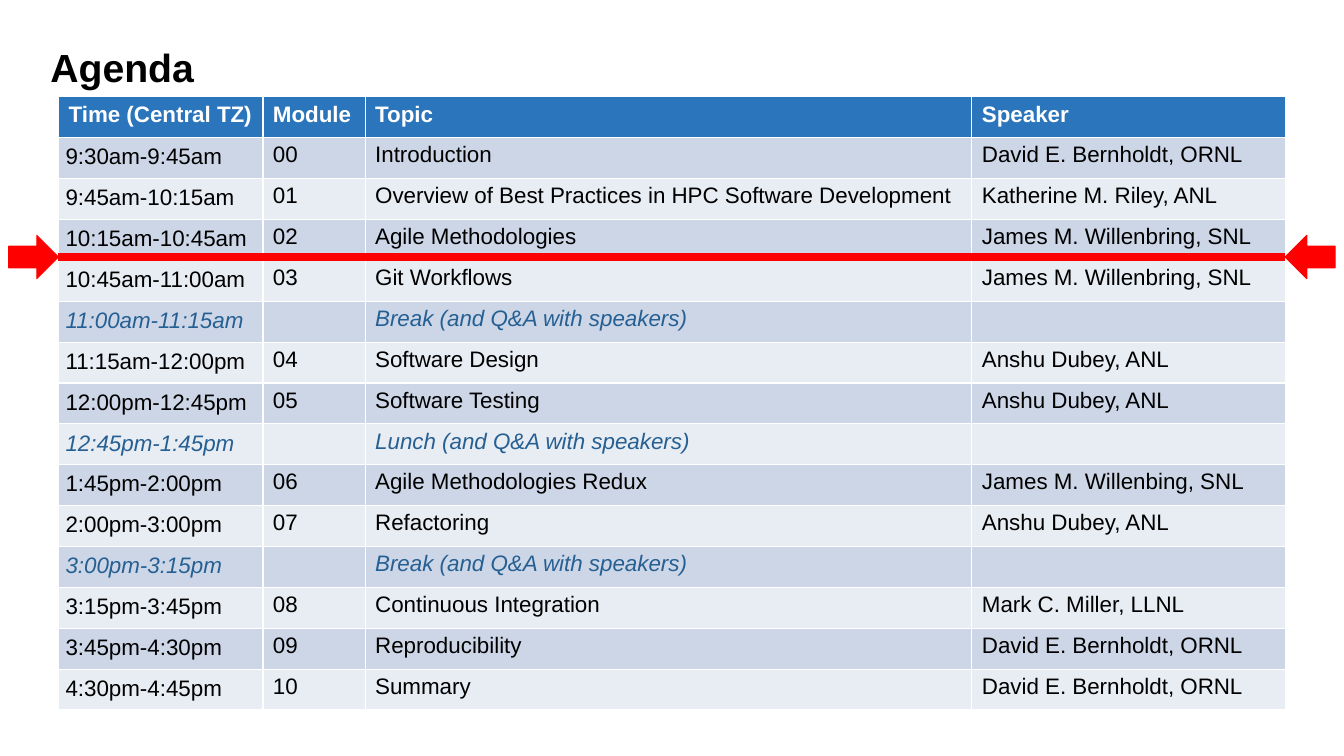
"""Build the agenda slide with its schedule table and current-time marker."""
from pptx import Presentation
from pptx.dml.color import RGBColor
from pptx.enum.shapes import MSO_CONNECTOR as Connector, MSO_SHAPE as Shape
from pptx.enum.text import MSO_ANCHOR as Anchor, MSO_AUTO_SIZE as AutoSize, PP_ALIGN as Align
from pptx.oxml.ns import qn
from pptx.util import Pt

HEADINGS = ("Time (Central TZ)", "Module", "Topic", "Speaker")
SESSIONS = [
    ("9:30am-9:45am", "00", "Introduction", "David E. Bernholdt, ORNL"),
    ("9:45am-10:15am", "01", "Overview of Best Practices in HPC Software Development",
     "Katherine M. Riley, ANL"),
    ("10:15am-10:45am", "02", "Agile Methodologies", "James M. Willenbring, SNL"),
    ("10:45am-11:00am", "03", "Git Workflows", "James M. Willenbring, SNL"),
    ("11:00am-11:15am", "", "Break (and Q&A with speakers)", ""),
    ("11:15am-12:00pm", "04", "Software Design", "Anshu Dubey, ANL"),
    ("12:00pm-12:45pm", "05", "Software Testing", "Anshu Dubey, ANL"),
    ("12:45pm-1:45pm", "", "Lunch (and Q&A with speakers)", ""),
    ("1:45pm-2:00pm", "06", "Agile Methodologies Redux", "James M. Willenbing, SNL"),
    ("2:00pm-3:00pm", "07", "Refactoring", "Anshu Dubey, ANL"),
    ("3:00pm-3:15pm", "", "Break (and Q&A with speakers)", ""),
    ("3:15pm-3:45pm", "08", "Continuous Integration", "Mark C. Miller, LLNL"),
    ("3:45pm-4:30pm", "09", "Reproducibility", "David E. Bernholdt, ORNL"),
    ("4:30pm-4:45pm", "10", "Summary", "David E. Bernholdt, ORNL"),
]
COLUMNS = (146, 73, 433.4, 223.8)
LEFT, TOP, ROW = 41.8, 69.2, 29.2
RIGHT = LEFT + sum(COLUMNS)
MARKER_Y, ARROW_WIDTH, ARROW_HEIGHT = 183.6, 35.6, 31
BLACK, WHITE, RED, BLUE = "000000", "FFFFFF", "FF0000", "2A75BB"
PAUSE_BLUE = "266093"
BANDS = ("CDD6E7", "E8ECF3")


def color(value):
    return RGBColor.from_string(value)


def add_span(para, text, size, ink, bold=False, italic=False):
    span = para.add_run()
    span.text = text
    font = span.font
    font.name, font.size = "Arial", Pt(size)
    font.bold, font.italic = bold, italic
    font.color.rgb = color(ink)


def paint(part, value):
    part.fill.solid()
    part.fill.fore_color.rgb = color(value)


def add_title(page):
    title = page.shapes.title
    title.left, title.top, title.width, title.height = Pt(28.8), Pt(32.4), Pt(895.7), Pt(72)
    frame = title.text_frame
    frame.auto_size = AutoSize.NONE
    frame.vertical_anchor = Anchor.TOP
    para = frame.paragraphs[0]
    para.alignment = Align.LEFT
    para.line_spacing = 0.85
    add_span(para, "Agenda", 28, BLACK, bold=True)


def add_schedule(page):
    rows = [HEADINGS, *SESSIONS]
    table = page.shapes.add_table(len(rows), len(COLUMNS), Pt(LEFT), Pt(TOP),
                                  Pt(RIGHT - LEFT), Pt(ROW * len(rows))).table
    for column, width in zip(table.columns, COLUMNS):
        column.width = Pt(width)
    for r, row in enumerate(rows):
        header, pause = r == 0, not row[1]
        ink = WHITE if header else PAUSE_BLUE if pause else BLACK
        for c, text in enumerate(row):
            cell = table.cell(r, c)
            paint(cell, BLUE if header else BANDS[(r - 1) % 2])
            if c == 0 and not header:
                cell.margin_left = cell.margin_right = Pt(5)
                cell.margin_top = cell.margin_bottom = Pt(5)
            if text:
                add_span(cell.text_frame.paragraphs[0], text, 16, ink, header, pause)


def add_marker(page):
    group = page.shapes.add_group_shape()
    line = group.shapes.add_connector(Connector.STRAIGHT, Pt(LEFT), Pt(MARKER_Y),
                                      Pt(RIGHT), Pt(MARKER_Y))
    line.line.color.rgb = color(RED)
    line.line.width = Pt(6)
    properties = line._element.spPr
    properties.append(properties.makeelement(qn("a:effectLst"), {}))
    for left, turn in ((LEFT - ARROW_WIDTH, 0), (RIGHT, 180)):
        arrow = group.shapes.add_shape(Shape.RIGHT_ARROW, Pt(left),
                                       Pt(MARKER_Y - ARROW_HEIGHT / 2),
                                       Pt(ARROW_WIDTH), Pt(ARROW_HEIGHT))
        arrow.rotation = turn
        arrow.shadow.inherit = False
        paint(arrow, RED)
        arrow.line.color.rgb = color(RED)
        arrow.line.width = Pt(0.75)


def main():
    deck = Presentation()
    deck.slide_width, deck.slide_height = Pt(960), Pt(540)
    page = deck.slides.add_slide(deck.slide_layouts[5])
    add_title(page)
    add_schedule(page)
    add_marker(page)
    deck.save("out.pptx")


if __name__ == "__main__":
    main()
